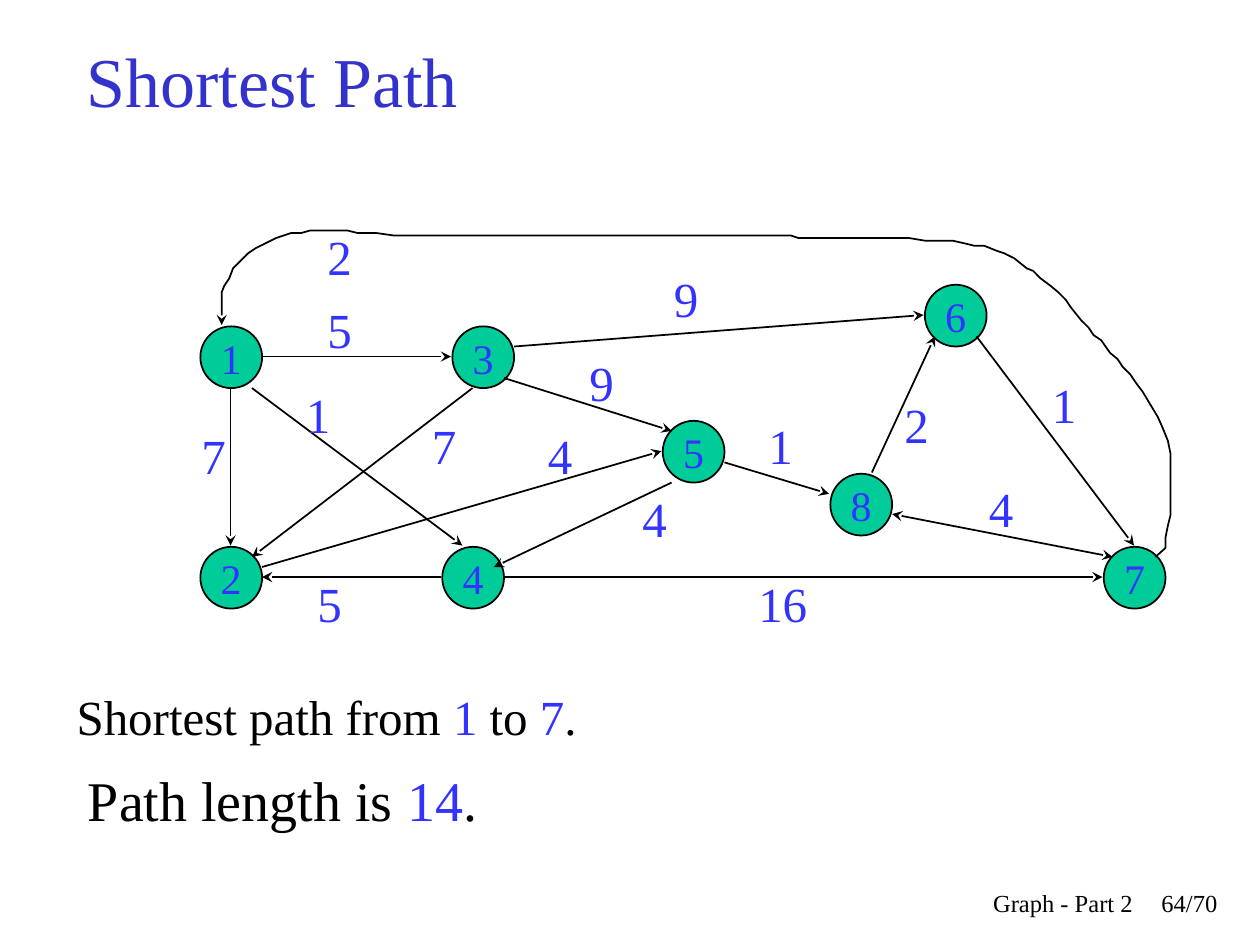
"""Build the shortest path slide with its weighted directed graph."""
from pptx import Presentation
from pptx.dml.color import RGBColor
from pptx.enum.shapes import MSO_CONNECTOR, MSO_SHAPE
from pptx.enum.text import MSO_ANCHOR, PP_ALIGN
from pptx.oxml.ns import qn
from pptx.util import Pt
from lxml.etree import SubElement

PX = 9144
BLACK, BLUE, TITLE, GREEN = "000000", "3333FF", "3333CC", "00CC99"
SIDE = 49

deck = Presentation()
deck.slide_width, deck.slide_height = 1000 * PX, 750 * PX
slide = deck.slides.add_slide(deck.slide_layouts[6])
shapes = slide.shapes


def write(frame, runs, size, align=PP_ALIGN.LEFT):
    para = frame.paragraphs[0]
    para.alignment = align
    for words, color in runs:
        run = para.add_run()
        run.text = words
        run.font.name = "Times New Roman"
        run.font.size = Pt(size)
        run.font.color.rgb = RGBColor.from_string(color)


def ink(shape, ends=()):
    shape.line.color.rgb = RGBColor.from_string(BLACK)
    shape.line.width = Pt(1)
    for end in ends:
        SubElement(shape.line._get_or_add_ln(), qn(f"a:{end}End"), type="stealth")


nodes = [
    ("1", 159, 259), ("2", 159, 434), ("3", 359, 259), ("4", 351, 434),
    ("5", 526, 334), ("6", 734, 226), ("7", 876, 434), ("8", 659, 376),
]
for name, x, y in nodes:
    node = shapes.add_shape(MSO_SHAPE.OVAL, x * PX, y * PX, SIDE * PX, SIDE * PX)
    node.shadow.inherit = False
    node.fill.solid()
    node.fill.fore_color.rgb = RGBColor.from_string(GREEN)
    ink(node)
    frame = node.text_frame
    frame.margin_left = frame.margin_right = 0
    frame.margin_top = frame.margin_bottom = 0
    frame.vertical_anchor = MSO_ANCHOR.MIDDLE
    frame.word_wrap = False
    write(frame, [(name, BLUE)], 24, PP_ALIGN.CENTER)

edges = [
    (183, 308, 183, 433), (350, 458, 208, 458), (208, 283, 358, 283),
    (200, 308, 367, 433), (375, 308, 200, 442), (400, 300, 533, 342),
    (208, 450, 525, 358), (533, 383, 392, 450), (400, 458, 875, 458),
    (575, 367, 658, 392), (408, 275, 733, 250), (775, 267, 900, 433),
    (692, 375, 742, 267), (708, 408, 883, 442),
]
for edge in edges:
    line = shapes.add_connector(MSO_CONNECTOR.STRAIGHT, *[n * PX for n in edge])
    both = edge == edges[-1]
    ink(line, ("head", "tail") if both else ("tail",))
    SubElement(line._element.spPr, qn("a:effectLst"))

curve = [
    (917, 442), (925, 435), (925, 427), (927, 417), (929, 409), (929, 360),
    (927, 350), (923, 340), (919, 331), (913, 321), (907, 311), (901, 303),
    (897, 297), (891, 291), (887, 285), (881, 280), (874, 270), (868, 266),
    (864, 260), (858, 254), (850, 244), (846, 238), (840, 232), (834, 227),
    (826, 221), (820, 215), (815, 213), (805, 205), (797, 201), (791, 199),
    (781, 195), (773, 195), (765, 193), (756, 191), (734, 191), (722, 189),
    (634, 189), (628, 187), (313, 187), (299, 185), (284, 185), (276, 183),
    (246, 183), (239, 185), (231, 185), (225, 187), (219, 189), (211, 193),
    (203, 197), (197, 201), (191, 207), (185, 213), (182, 221), (178, 227),
    (176, 232), (176, 240), (176, 258),
]
pen = shapes.build_freeform(*curve[0], scale=PX)
pen.add_line_segments(curve[1:], close=False)
loop = pen.convert_to_shape()
loop.shadow.inherit = False
loop.fill.background()
ink(loop, ("tail",))

labels = [
    ("5", 250, 233, 42), ("7", 150, 333, 42), ("1", 233, 300, 67),
    ("7", 333, 325, 42), ("9", 525, 208, 42), ("1", 600, 325, 67),
    ("9", 458, 275, 42), ("4", 425, 333, 42), ("4", 500, 383, 42),
    ("5", 242, 450, 42), ("16", 592, 450, 83), ("4", 775, 375, 42),
    ("2", 250, 175, 42), ("1", 825, 292, 42), ("2", 708, 308, 42),
]
left, right = PP_ALIGN.LEFT, PP_ALIGN.RIGHT
texts = [((x, y, wide, 57), [(cost, BLUE)], 28, left) for cost, x, y, wide in labels]
texts += [
    ((59, 13, 850, 100), [("Shortest Path", TITLE)], 40, left),
    ((51, 540, 900, 64), [("Shortest path from ", BLACK), ("1", BLUE),
                          (" to ", BLACK), ("7", BLUE), (".", BLACK)], 28, left),
    ((60, 603, 850, 58), [("Path length is ", BLACK), ("14", BLUE),
                          (".", BLACK)], 32, left),
    ((908, 700, 68, 50), [("64/70", BLACK)], 14, right),
    ((592, 700, 317, 50), [("Graph - Part 2", BLACK)], 14, right),
]
for place, runs, size, align in texts:
    frame = shapes.add_textbox(*[n * PX for n in place]).text_frame
    frame.word_wrap = True
    if size == 40:
        frame.vertical_anchor = MSO_ANCHOR.MIDDLE
    write(frame, runs, size, align)

deck.save("out.pptx")
